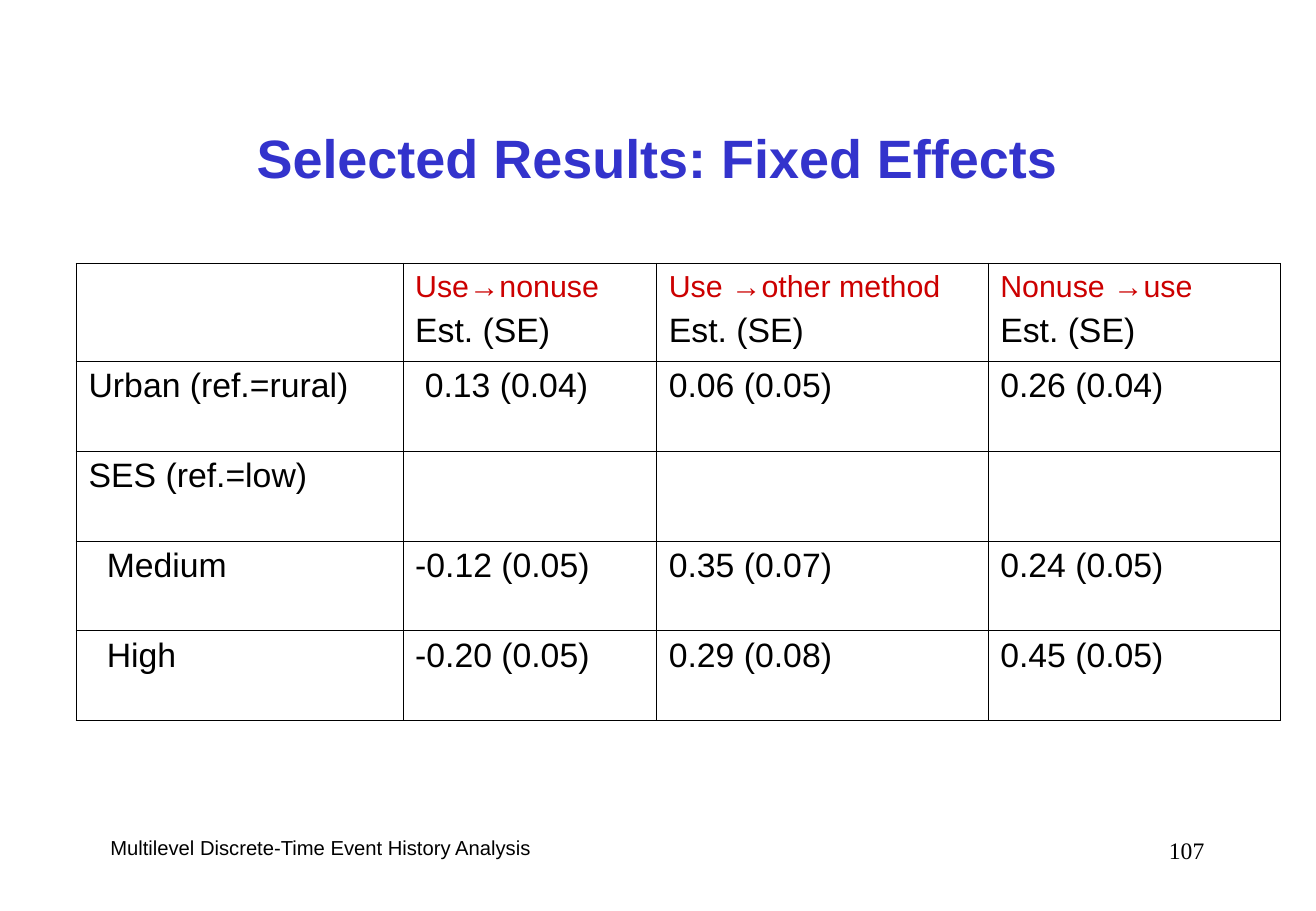
from lxml import etree
from pptx import Presentation
from pptx.dml.color import RGBColor
from pptx.enum import text
from pptx.oxml import ns
from pptx.util import Emu, Inches, Pt

BLACK = RGBColor(0x00, 0x00, 0x00)
BLUE = RGBColor(0x33, 0x33, 0xCC)
RED = RGBColor(0xCC, 0x00, 0x00)

THIN, THICK = Pt(0.45), Pt(1.08)
CELL_MARGIN = 0.1
COLUMN_WIDTHS = [2.69, 2.09, 2.73, 2.41]
ROW_HEIGHTS = [0.8] + [0.74] * 4

TRANSITIONS = ["Use→nonuse", "Use →other method", "Nonuse →use"]
HEADER = [""] + [f"{transition}\nEst. (SE)" for transition in TRANSITIONS]
EFFECTS = [
    ["Urban (ref.=rural)", "0.13 (0.04)", "0.06 (0.05)", "0.26 (0.04)"],
    ["SES (ref.=low)", "", "", ""],
    ["Medium", "-0.12 (0.05)", "0.35 (0.07)", "0.24 (0.05)"],
    ["High", "-0.20 (0.05)", "0.29 (0.08)", "0.45 (0.05)"],
]
# Extra left indent by (row, column)
INDENTS = {(1, 1): 0.08, (3, 0): 0.15, (4, 0): 0.15}


def style(para, size, color=BLACK, font="Arial", bold=False):
    for span in para.runs:
        span.font.size = Pt(size)
        span.font.name = font
        span.font.bold = bold
        span.font.color.rgb = color


def add_text(page, box, words, size, align=text.PP_ALIGN.LEFT,
             anchor=text.MSO_ANCHOR.TOP, **look):
    frame = page.shapes.add_textbox(*map(Inches, box)).text_frame
    frame.word_wrap = True
    frame.vertical_anchor = anchor
    frame.text = words
    para = frame.paragraphs[0]
    para.alignment = align
    style(para, size, **look)


def set_borders(cell, widths):
    """Draw the left, right, top and bottom borders of a cell."""
    properties = cell._tc.get_or_add_tcPr()
    for position, (side, width) in enumerate(zip("LRTB", widths)):
        line = etree.Element(ns.qn(f"a:ln{side}"), w=str(Emu(width)))
        fill = etree.SubElement(line, ns.qn("a:solidFill"))
        etree.SubElement(fill, ns.qn("a:srgbClr"), val=str(BLACK))
        properties.insert(position, line)


def fill_cell(cell, words, indent, is_header):
    cell.fill.background()
    cell.margin_left = Inches(CELL_MARGIN + indent)
    cell.margin_right = Inches(CELL_MARGIN)
    cell.margin_top = cell.margin_bottom = Inches(0.05)
    cell.text_frame.text = words
    for index, para in enumerate(cell.text_frame.paragraphs):
        is_transition = is_header and index == 0
        para.space_before = Pt(4.5 if is_transition else 5)
        style(para, 18 if is_transition else 20,
              RED if is_transition else BLACK)


def add_results(page, box):
    rows = [HEADER] + EFFECTS
    last_row, last_column = len(rows) - 1, len(HEADER) - 1
    table = page.shapes.add_table(
        len(rows), len(HEADER), *map(Inches, box)).table
    table.first_row = table.horz_banding = False
    for column, width in zip(table.columns, COLUMN_WIDTHS):
        column.width = Inches(width)
    for row, height in zip(table.rows, ROW_HEIGHTS):
        row.height = Inches(height)

    # Thick outer frame, thin inner grid
    for r, values in enumerate(rows):
        for c, words in enumerate(values):
            cell = table.cell(r, c)
            fill_cell(cell, words, INDENTS.get((r, c), 0), r == 0)
            outer = [c == 0, c == last_column, r == 0, r == last_row]
            set_borders(cell, [THICK if edge else THIN for edge in outer])


def add_footer(page, box):
    left, top, width, height = box
    number_width = 2.26
    add_text(page, (left, top, 6.32, height),
             "Multilevel Discrete-Time Event History Analysis", 12)
    add_text(page, (left + width - number_width, top, number_width, height),
             "107", 14, align=text.PP_ALIGN.RIGHT, font="Times New Roman")


def main():
    deck = Presentation()
    deck.slide_width, deck.slide_height = Inches(10.84), Inches(7.5)
    page = deck.slides.add_slide(deck.slide_layouts[6])

    # Title
    add_text(page, (0.81, 0.67, 9.21, 1.25), "Selected Results: Fixed Effects",
             32, align=text.PP_ALIGN.CENTER, anchor=text.MSO_ANCHOR.MIDDLE,
             color=BLUE, bold=True)
    # Table and footer
    add_results(page, (0.63, 2.17, sum(COLUMN_WIDTHS), sum(ROW_HEIGHTS)))
    add_footer(page, (0.81, 6.83, 9.21, 0.5))
    deck.save("out.pptx")


if __name__ == "__main__":
    main()
